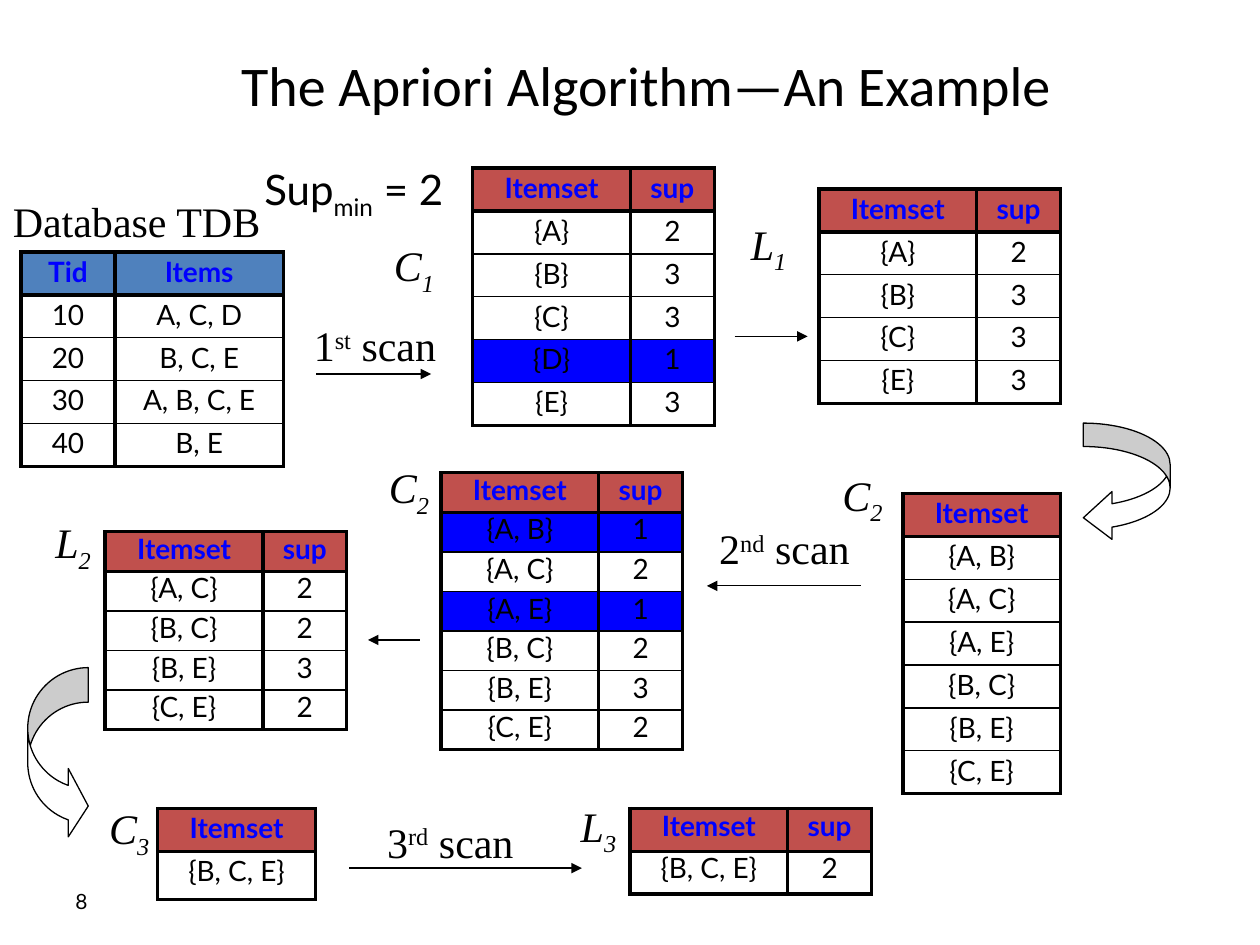
from lxml import etree
from pptx import Presentation
from pptx import util as u
from pptx.dml.color import RGBColor
from pptx.enum import shapes, text
from pptx.oxml import ns

BLACK, WHITE, BLUE, RED, STEEL = "000000", "FFFFFF", "0000FF", "C0504D", "4F81BD"
SANS, SERIF = "Lato", "Times New Roman"
ROW, TIGHT = 0.86, 0.79  # row heights in cm
SET, SUP = 3.18, 1.69  # column widths in cm


def hue(code):
    return RGBColor.from_string(code)


def cms(*nums):
    return [u.Cm(n) for n in nums]


def sub(node, tag, **attrs):
    return etree.SubElement(node, ns.qn(tag), **attrs)


def write(par, bits, font=SANS, size=16, color=BLACK, bold=False, italic=False,
          align=text.PP_ALIGN.CENTER, lead=None, before=None):
    """Bits are (words, baseline shift in percent) pairs, or one plain string."""
    par.alignment = align
    if lead:
        par.line_spacing = lead
    if before:
        par.space_before = u.Pt(0)
        gap = par._p.pPr.find(ns.qn("a:spcBef"))
        gap.remove(gap[0])
        sub(gap, "a:spcPct", val=str(before * 1000))
    for words, shift in [(bits, 0)] if isinstance(bits, str) else bits:
        run = par.add_run()
        run.text = words
        face = run.font
        face.name, face.size = font, u.Pt(size)
        face.bold, face.italic = bold, italic
        face.color.rgb = hue(color)
        if shift:
            face._element.set("baseline", str(shift * 1000))


class Deck:
    edge, thick, thin = BLACK, 2.25, 1

    def __init__(self):
        self.prs = Presentation()
        self.prs.slide_width, self.prs.slide_height = cms(25.4, 19.05)
        self.slide = self.prs.slides.add_slide(self.prs.slide_layouts[6])

    def box(self, spot, bits, wrap=True, mid=True, grow=False, **fmt):
        frame = self.slide.shapes.add_textbox(*cms(*spot)).text_frame
        frame.word_wrap = wrap
        if grow:
            frame.auto_size = text.MSO_AUTO_SIZE.SHAPE_TO_FIT_TEXT
        frame.vertical_anchor = text.MSO_ANCHOR.MIDDLE if mid else text.MSO_ANCHOR.TOP
        write(frame.paragraphs[0], bits, **fmt)

    def label(self, x, y, wide, bits, italic=False):
        self.box((x, y, wide, 1.27), bits, wrap=False, grow=True,
                 font=SERIF, size=24, italic=italic)

    def arrow(self, start, end, y):
        line = self.slide.shapes.add_connector(
            shapes.MSO_CONNECTOR.STRAIGHT, *cms(start, y, end, y))
        line.line.color.rgb = hue(self.edge)
        line.line.width = u.Pt(0.75)
        sub(line.line._get_or_add_ln(), "a:tailEnd", type="triangle")
        sub(line._element.spPr, "a:effectLst")

    def curve(self, kind, spot, bends):
        bow = self.slide.shapes.add_shape(kind, *cms(*spot))
        bow.shadow.inherit = False
        for i, bend in enumerate(bends):
            bow.adjustments[i] = bend
        bow.fill.solid()
        bow.fill.fore_color.rgb = hue(WHITE)
        bow.line.color.rgb = hue(self.edge)
        bow.line.width = u.Pt(0.75)

    def border(self, cell, top, base):
        props = cell._tc.get_or_add_tcPr()
        for side, size in zip("LRTB", (self.thick, self.thick, top, base)):
            line = sub(props, f"a:ln{side}", w=str(u.Pt(size)))
            sub(sub(line, "a:solidFill"), "a:srgbClr", val=self.edge)

    def table(self, x, y, cols, rows, high=ROW, last=None, head=RED, lead=0.9, marks=()):
        highs = [high] * (len(rows) - 1) + [last or high]
        grid = self.slide.shapes.add_table(
            len(rows), len(cols), *cms(x, y, sum(cols), sum(highs))).table
        grid.first_row = grid.horz_banding = False
        for col, wide in zip(grid.columns, cols):
            col.width = u.Cm(wide)
        for r, row in enumerate(rows):
            grid.rows[r].height = u.Cm(highs[r])
            top = self.thick if r < 2 else self.thin
            base = self.thick if r in (0, len(rows) - 1) else self.thin
            fill = head if r == 0 else BLUE if r in marks else None
            for c, words in enumerate(row):
                cell = grid.cell(r, c)
                self.border(cell, top, base)
                if fill:
                    cell.fill.solid()
                    cell.fill.fore_color.rgb = hue(fill)
                else:
                    cell.fill.background()
                write(cell.text_frame.paragraphs[0], words, bold=r == 0,
                      color=BLACK if r else BLUE, lead=lead, before=20)

    def sets(self, x, y, names, sups=None, **look):
        """Table of itemsets, with their support counts if given."""
        names = ["Itemset"] + ["{%s}" % ", ".join(name) for name in names]
        if sups:
            self.table(x, y, (SET, SUP), list(zip(names, ["sup", *sups])), **look)
        else:
            self.table(x, y, (SET,), [(name,) for name in names], **look)


def main():
    deck = Deck()

    # Title, page number and threshold
    deck.box((1.27, 17.65, 5.92, 1.02), "8", size=12, align=text.PP_ALIGN.LEFT)
    deck.box((2.34, 0.84, 21.64, 1.7), "The Apriori Algorithm—An Example ",
             font="Calibri", size=32)
    deck.box((5.08, 3.18, 4.88, 1.27), [("Sup", 0), ("min", -25), (" = 2", 0)],
             mid=False, grow=True, size=24, align=text.PP_ALIGN.LEFT, before=50)

    # Names of the sets
    deck.label(0, 3.81, 5.51, "Database TDB")
    for name, num, x, y in (
            ("C", "1", 7.67, 4.78), ("L", "1", 14.86, 4.34), ("L", "2", 0.84, 10.36),
            ("C", "2", 7.57, 9.25), ("C", "2", 16.71, 9.4),
            ("C", "3", 1.93, 16.13), ("L", "3", 11.43, 16.08)):
        deck.label(x, y, 1.35 if name == "C" else 1.27, [(name, 0), (num, -25)], italic=True)

    # Scans and flow arrows
    for num, tail, x, y, wide in (("1", "st", 6.05, 6.32, 3.02),
                                  ("2", "nd", 14.2, 10.41, 3.23),
                                  ("3", "rd", 7.52, 16.33, 3.12)):
        deck.label(x, y, wide, [(num, 0), (tail, 30), (" scan", 0)])
    for start, end, y in ((6.38, 8.69, 7.54), (14.81, 16.28, 6.78), (17.35, 14.25, 11.81),
                          (8.46, 7.42, 12.9), (7.04, 11.73, 17.5)):
        deck.arrow(start, end, y)
    kind = shapes.MSO_SHAPE
    deck.curve(kind.CURVED_LEFT_ARROW, (21.84, 8.53, 1.75, 2.39), (0.27, 0.55, 0.33))
    deck.curve(kind.CURVED_RIGHT_ARROW, (0.56, 13.46, 1.22, 3.48), (0.57, 1.13, 0.33))

    # Database
    deck.table(0.42, 5.08, (1.9, 3.39),
               [("Tid", "Items"), ("10", "A, C, D"), ("20", "B, C, E"),
                ("30", "A, B, C, E"), ("40", "B, E")], head=STEEL)

    # First pass
    deck.sets(9.53, 3.39, "ABCDE", "23313", marks=(4,))
    deck.sets(16.51, 3.81, "ABCE", "2333")

    # Second pass
    pairs = ["AB", "AC", "AE", "BC", "BE", "CE"]
    deck.sets(18.2, 9.95, pairs)
    deck.sets(8.89, 9.53, pairs, "121232", high=TIGHT, lead=0.8, marks=(1, 3))
    deck.sets(2.12, 10.72, ["AC", "BC", "BE", "CE"], "2232", high=TIGHT, lead=0.8)

    # Third pass
    deck.sets(3.18, 16.3, ["BCE"], last=0.97)
    deck.sets(12.7, 16.3, ["BCE"], "2", lead=0.8)

    deck.prs.save("out.pptx")


if __name__ == "__main__":
    main()
